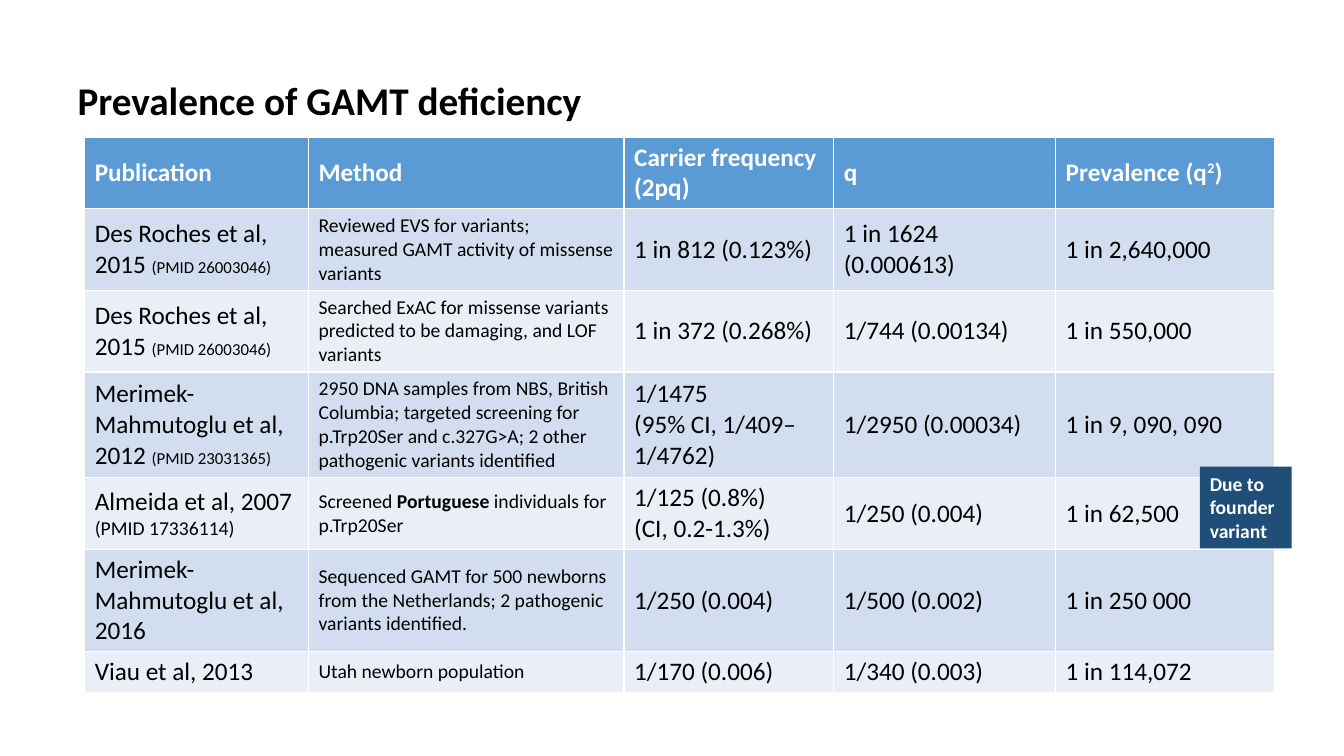
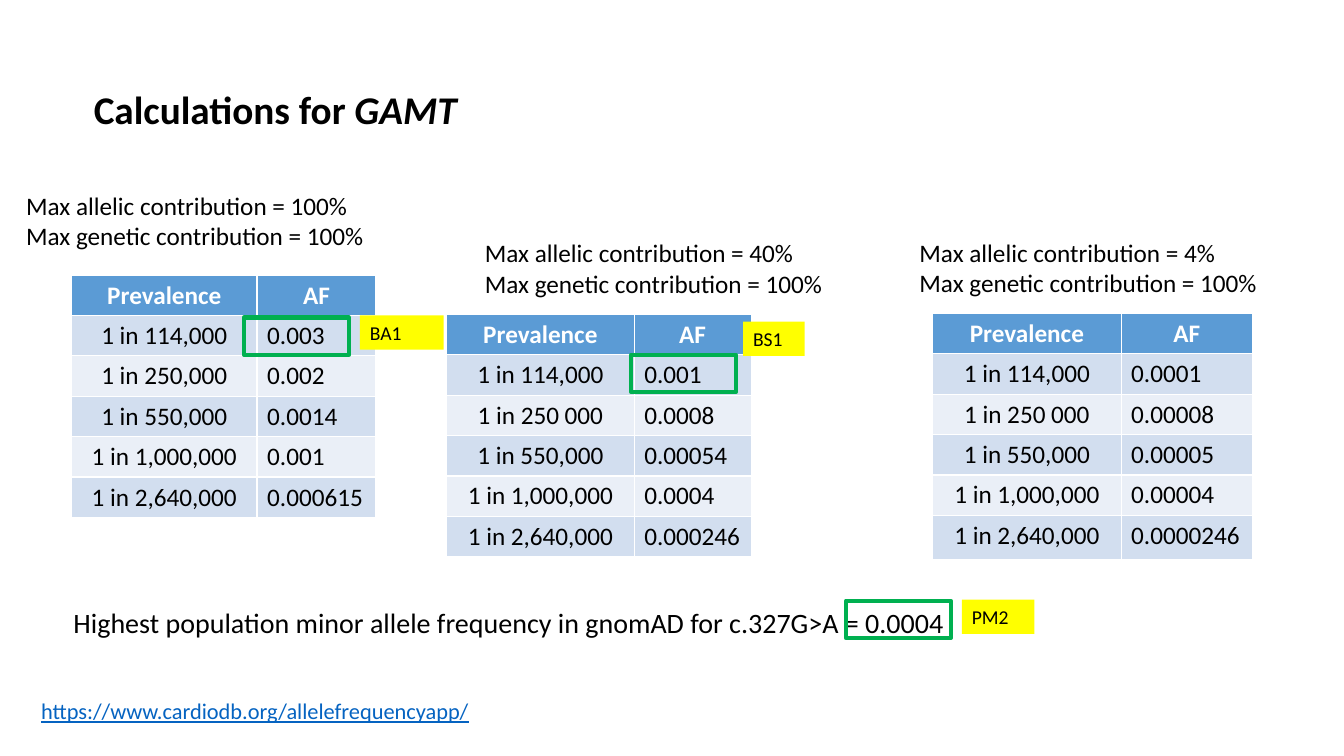
from pptx import Presentation
from pptx.dml.color import RGBColor
from pptx.enum.shapes import MSO_SHAPE
from pptx.enum.text import MSO_ANCHOR, MSO_AUTO_SIZE, PP_ALIGN
from pptx.util import Inches, Pt

# Shared style
FONT = "Calibri"
BLACK, WHITE, NAVY = "000000", "FFFFFF", "1F4E79"
YELLOW, GREEN, LINK = "FFFF00", "00B050", "0563C1"
HEADER_FILL, BAND_FILLS = "5B9BD5", ("D2DEEF", "EAEFF7")
BOLD, ITALIC, SMALL = {"bold": True}, {"italic": True}, {"size": 12}

# Content: a text is a list of paragraphs, each a string or a list of
# runs; a run is a string or a (string, format) pair.
PREVALENCE_TITLE = ["Prevalence of GAMT deficiency"]
PREVALENCE_COLUMNS = [2.22, 3.13, 2.08, 2.2, 2.17]
PREVALENCE_HEIGHTS = [0.7, 0.81, 0.81, 1.04, 0.71, 1.01, 0.41]
PREVALENCE_ROWS = [
    [["Publication"], ["Method"], ["Carrier frequency (2pq)"], ["q"],
     [["Prevalence (q", ("2", {"raised": True}), ")"]]],
    [[["Des Roches et al, 2015 ", ("(PMID 26003046)", SMALL)]],
     ["Reviewed EVS for variants; measured GAMT activity of missense variants"],
     ["1 in 812 (0.123%)"], ["1 in 1624 (0.000613)"], ["1 in 2,640,000"]],
    [[["Des Roches et al, 2015 ", ("(PMID 26003046)", SMALL)]],
     ["Searched ExAC for missense variants predicted to be damaging, "
      "and LOF variants"],
     ["1 in 372 (0.268%)"], ["1/744 (0.00134)"], ["1 in 550,000"]],
    [[["Merimek-Mahmutoglu et al, 2012 ", ("(PMID 23031365)", SMALL)]],
     ["2950 DNA samples from NBS, British Columbia; targeted screening for "
      "p.Trp20Ser and c.327G>A; 2 other pathogenic variants identified"],
     ["1/1475", "(95% CI, 1/409–1/4762)"], ["1/2950 (0.00034)"],
     ["1 in 9, 090, 090"]],
    [[["Almeida et al, 2007 ", ("(PMID 17336114)", {"size": 14})]],
     [["Screened ", ("Portuguese", BOLD), " individuals for p.Trp20Ser"]],
     ["1/125 (0.8%)", "(CI, 0.2-1.3%)"], ["1/250 (0.004)"], ["1 in 62,500"]],
    [["Merimek-Mahmutoglu et al, 2016"],
     ["Sequenced GAMT for 500 newborns from the Netherlands; "
      "2 pathogenic variants identified."],
     ["1/250 (0.004)"], ["1/500 (0.002)"], ["1 in 250 000"]],
    [["Viau et al, 2013"], ["Utah newborn population"],
     ["1/170 (0.006)"], ["1/340 (0.003)"], ["1 in 114,072"]],
]

CALCULATION_TITLE = [["Calculations for ", ("GAMT", ITALIC)]]
# Each scenario: allelic share, note place, table place, columns,
# last row height, second prevalence, allele frequencies
SCENARIOS = [
    ("100%", (0.16, 1.84), (0.71, 2.73), (1.84, 1.18), 0.4, "1 in 250,000",
     ["0.003", "0.002", "0.0014", "0.001", "0.000615"]),
    ("40%", (4.71, 2.31), (4.43, 3.12), (1.86, 1.16), 0.4, "1 in 250 000",
     ["0.001", "0.0008", "0.00054", "0.0004", "0.000246"]),
    ("4%", (9.02, 2.3), (9.25, 3.11), (1.87, 1.3), 0.44, "1 in 250 000",
     ["0.0001", "0.00008", "0.00005", "0.00004", "0.0000246"]),
]
GNOMAD_NOTE = ("Highest population minor allele frequency in gnomAD "
               "for c.327G>A = 0.0004")
APP_ADDRESS = "https://www.cardiodb.org/allelefrequencyapp/"
# Each criterion: tag, tag place and width, highlight place
CRITERIA = [
    ("BA1", (3.57, 3.13, 0.83), (2.42, 3.15)),
    ("BS1", (7.37, 3.19, 0.61), (6.26, 3.52)),
    ("PM2", (9.54, 5.95, 0.72), (8.39, 5.96)),
]


def color(code):
    return RGBColor.from_string(code)


def format_span(span, size=18, ink=BLACK, bold=False, italic=False,
                underline=False, raised=False):
    font = span.font
    font.name, font.size = FONT, Pt(size)
    font.bold, font.italic = bold, italic
    if underline:
        font.underline = True
    if raised:
        span._r.get_or_add_rPr().set("baseline", "30000")
    font.color.rgb = color(ink)


def write(frame, text, align=PP_ALIGN.LEFT, spacing=None, **style):
    for index, content in enumerate(text):
        para = frame.paragraphs[0] if index == 0 else frame.add_paragraph()
        para.alignment = align
        if spacing:
            para.line_spacing = spacing
        for part in [content] if isinstance(content, str) else content:
            words, extra = (part, {}) if isinstance(part, str) else part
            span = para.add_run()
            span.text = words
            format_span(span, **{**style, **extra})


def add_page(deck, title, *place):
    page = deck.slides.add_slide(deck.slide_layouts[5])
    box = page.shapes.title
    box.left, box.top, box.width, box.height = map(Inches, place)
    frame = box.text_frame
    frame.word_wrap, frame.auto_size = True, MSO_AUTO_SIZE.NONE
    frame.vertical_anchor = MSO_ANCHOR.MIDDLE
    write(frame, title, spacing=0.9, size=28, bold=True)
    return page


def add_text(page, text, *place, **style):
    box = page.shapes.add_textbox(*map(Inches, place))
    box.text_frame.word_wrap = True
    write(box.text_frame, text, **style)


def add_box(page, *place, fill=None, outline=None, text=(), **style):
    box = page.shapes.add_shape(MSO_SHAPE.RECTANGLE, *map(Inches, place))
    box.shadow.inherit = False
    if fill:
        box.fill.solid()
        box.fill.fore_color.rgb = color(fill)
    else:
        box.fill.background()
    if outline:
        box.line.color.rgb = color(outline)
        box.line.width = Pt(3)
    else:
        box.line.fill.background()
    box.text_frame.vertical_anchor = MSO_ANCHOR.TOP
    write(box.text_frame, text, **style)


def add_grid(page, rows, left, top, columns, heights, cell_style,
             anchor=MSO_ANCHOR.TOP):
    """Draw a banded table; cell_style(row, column) gives the text format."""
    table = page.shapes.add_table(
        len(rows), len(columns), Inches(left), Inches(top),
        Inches(sum(columns)), Inches(sum(heights))).table
    for column, width in zip(table.columns, columns):
        column.width = Inches(width)
    for r, (row, height) in enumerate(zip(rows, heights)):
        table.rows[r].height = Inches(height)
        for c, text in enumerate(row):
            cell = table.cell(r, c)
            cell.vertical_anchor = anchor
            cell.fill.solid()
            cell.fill.fore_color.rgb = color(
                BAND_FILLS[(r - 1) % 2] if r else HEADER_FILL)
            write(cell.text_frame, text, bold=r == 0,
                  ink=BLACK if r else WHITE, **cell_style(r, c))


def build_prevalence(deck):
    page = add_page(deck, PREVALENCE_TITLE, 0.67, 0.29, 11.5, 1.45)
    add_grid(page, PREVALENCE_ROWS, 0.84, 1.36, PREVALENCE_COLUMNS,
             PREVALENCE_HEIGHTS,
             lambda r, c: {"size": 14 if r and c == 1 else 18},
             MSO_ANCHOR.MIDDLE)
    add_box(page, 11.9, 4.63, 0.91, 0.81, fill=NAVY,
            text=["Due to founder variant"], size=14, ink=WHITE, bold=True)


def build_calculations(deck):
    page = add_page(deck, CALCULATION_TITLE, 0.83, 0.6, 4.36, 1.02)

    # Scenario notes and tables
    for share, note, place, columns, last, second, values in SCENARIOS:
        add_text(page, [f"Max allelic contribution = {share}",
                        "Max genetic contribution = 100%"], *note, 3.59, 0.71)
        prevalences = ["1 in 114,000", second, "1 in 550,000",
                       "1 in 1,000,000", "1 in 2,640,000"]
        rows = [[["Prevalence"], ["AF"]]]
        rows += [[[name], [value]] for name, value in zip(prevalences, values)]
        add_grid(page, rows, *place, columns, [0.4] * 5 + [last],
                 lambda r, c: {"align": PP_ALIGN.LEFT if r and c
                               else PP_ALIGN.CENTER})

    # Notes at the foot
    add_text(page, [GNOMAD_NOTE], 0.63, 5.96, 8.91, 0.44, size=20)
    add_text(page, [APP_ADDRESS], 0.31, 6.87, 4.5, 0.37, size=16, ink=LINK,
             underline=True)

    # Criterion tags and highlights
    for tag, (left, top, width), highlight in CRITERIA:
        add_box(page, left, top, width, 0.34, fill=YELLOW, text=[tag], size=14)
        add_box(page, *highlight, 1.04, 0.37, outline=GREEN)


def main():
    deck = Presentation()
    deck.slide_width, deck.slide_height = Inches(13.33), Inches(7.5)
    build_prevalence(deck)
    build_calculations(deck)
    deck.save("out.pptx")


if __name__ == "__main__":
    main()
